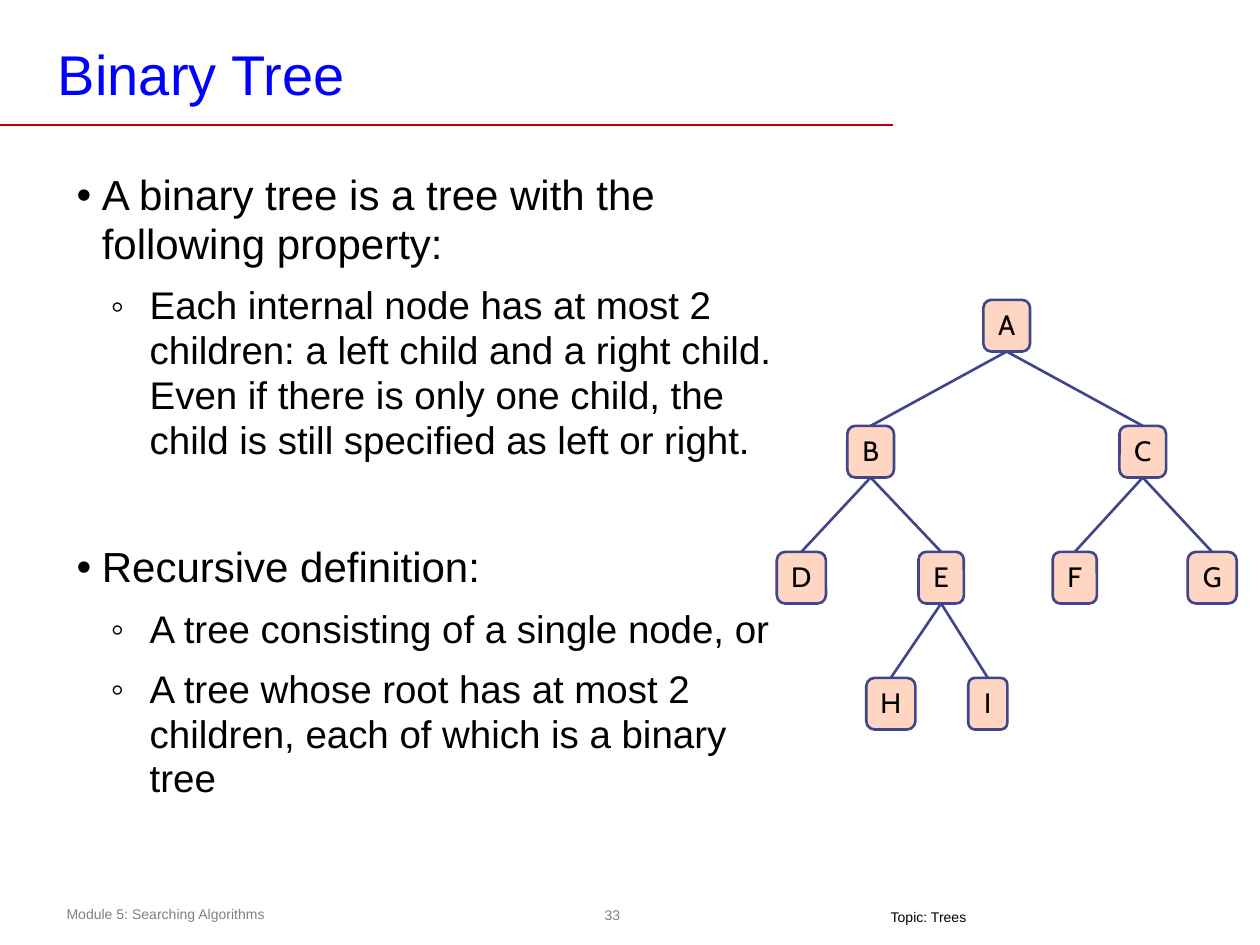
from lxml import etree
from pptx import Presentation
from pptx.dml.color import RGBColor
from pptx.enum.shapes import MSO_CONNECTOR, MSO_SHAPE
from pptx.enum.text import MSO_ANCHOR, MSO_AUTO_SIZE, PP_ALIGN
from pptx.oxml.ns import qn
from pptx.util import Inches, Pt

ROUNDED, ELLIPSE = MSO_SHAPE.ROUNDED_RECTANGLE, MSO_SHAPE.OVAL
STRAIGHT = MSO_CONNECTOR.STRAIGHT
MIDDLE, TOP = MSO_ANCHOR.MIDDLE, MSO_ANCHOR.TOP
CENTER, LEFT = PP_ALIGN.CENTER, PP_ALIGN.LEFT
BOTTOM_SIDE, TOP_SIDE = 2, 0
TITLE_ONLY = 5
BLACK, GRAY, BLUE, RED = "000000", "808080", "0000FF", "C00000"
NODE_FILL, NODE_LINE = "FFD6C2", "40458C"

BULLETS = [
    (0, "A binary tree is a tree with the following property:", 0),
    (1, "Each internal node has at most 2 children: a left child and a right child. "
        "Even if there is only one child, the child is still specified as left or right.", 8.6),
    (0, "Recursive definition:", 46),
    (1, "A tree consisting of a single node, or", 8.6),
    (1, "A tree whose root has at most 2 children, each of which is a binary tree", 8.6),
]
LEVELS = [("•", 0.2, 0.2, 24), ("◦", 0.58, 0.31, 22)]

NODES = {
    "A": (0, 1.82, 0.37),
    "B": (1, 0.74, 0.37), "C": (1, 2.9, 0.37),
    "D": (2, 0.19, 0.39), "E": (2, 1.3, 0.36), "F": (2, 2.36, 0.35), "G": (2, 3.45, 0.39),
    "H": (3, 0.9, 0.39), "I": (3, 1.67, 0.31),
}
EDGES = ["AB", "AC", "BD", "BE", "CF", "CG", "EH", "EI"]
ROW_STEP, NODE_HEIGHT = 1, 0.41


def color(value):
    """Return the colour for a hex string."""
    return RGBColor.from_string(value)


def format_paragraph(paragraph, size, value, font="Arial", align=LEFT):
    """Format a paragraph and its runs."""
    paragraph.alignment = align
    for run in paragraph.runs:
        run.font.size = Pt(size)
        run.font.name = font
        run.font.color.rgb = color(value)


def set_frame(frame, margins, anchor=TOP, wrap=True):
    """Set the left/right and top/bottom margins, anchor and wrapping of a frame."""
    side, end = margins
    frame.margin_left = frame.margin_right = Inches(side)
    frame.margin_top = frame.margin_bottom = Inches(end)
    frame.vertical_anchor = anchor
    frame.word_wrap = wrap
    frame.auto_size = MSO_AUTO_SIZE.NONE


def add_line(shapes, start, end, value, width):
    """Add a straight line without a shadow."""
    line = shapes.add_connector(STRAIGHT, *(Inches(length) for length in start + end))
    line.line.color.rgb = color(value)
    line.line.width = Pt(width)
    etree.SubElement(line._element.spPr, qn("a:effectLst"))
    return line


def add_header(slide, box, text):
    """Place the title and the rule below it."""
    title = slide.shapes.title
    title.left, title.top, title.width, title.height = (Inches(length) for length in box)
    set_frame(title.text_frame, (0.07, 0.03), MIDDLE)
    title.text_frame.text = text
    format_paragraph(title.text_frame.paragraphs[0], 32, BLUE)
    add_line(slide.shapes, (0, 0.99), (7.09, 0.99), RED, 1)


def set_bullet(paragraph, character, indent, hanging):
    """Give a paragraph a hanging bullet."""
    properties = paragraph._p.get_or_add_pPr()
    properties.set("marL", str(Inches(indent)))
    properties.set("indent", str(-Inches(hanging)))
    font = etree.SubElement(properties, qn("a:buFont"))
    font.set("typeface", "Arial")
    bullet = etree.SubElement(properties, qn("a:buChar"))
    bullet.set("char", character)


def add_bullets(slide, box):
    """Write the two-level bullet list."""
    frame = slide.shapes.add_textbox(*(Inches(length) for length in box)).text_frame
    set_frame(frame, (0.1, 0.05))
    for index, (level, text, space) in enumerate(BULLETS):
        paragraph = frame.add_paragraph() if index else frame.paragraphs[0]
        character, indent, hanging, size = LEVELS[level]
        paragraph.text = text
        paragraph.level = level
        paragraph.line_spacing = 0.97
        paragraph.space_before = Pt(space)
        format_paragraph(paragraph, size, BLACK)
        set_bullet(paragraph, character, indent, hanging)


def add_node(shapes, box, text):
    """Add one lettered tree node."""
    node = shapes.add_shape(ROUNDED, *(Inches(length) for length in box))
    node.shadow.inherit = False
    node.adjustments[0] = 0.17
    node.fill.solid()
    node.fill.fore_color.rgb = color(NODE_FILL)
    node.line.color.rgb = color(NODE_LINE)
    node.line.width = Pt(1.5)
    set_frame(node.text_frame, (0, 0), MIDDLE, wrap=False)
    node.text_frame.text = text
    paragraph = node.text_frame.paragraphs[0]
    paragraph.line_spacing = 0.93
    format_paragraph(paragraph, 16, BLACK, "Cabin", CENTER)
    return node


def add_tree(slide, left, top):
    """Draw the tree as a group of nodes joined by edges."""
    shapes = slide.shapes.add_group_shape().shapes
    nodes = {}
    for letter, (row, center, width) in NODES.items():
        box = (left + center - width / 2, top + row * ROW_STEP, width, NODE_HEIGHT)
        nodes[letter] = add_node(shapes, box, letter)
    for parent, child in EDGES:
        edge = add_line(shapes, (left, top), (left, top), NODE_LINE, 1.5)
        edge.begin_connect(nodes[parent], BOTTOM_SIDE)
        edge.end_connect(nodes[child], TOP_SIDE)


def add_label(slide, box, text, value, margins):
    """Add a small one-line label."""
    shape = slide.shapes.add_textbox(*(Inches(length) for length in box))
    set_frame(shape.text_frame, margins, wrap=False)
    shape.text_frame.text = text
    format_paragraph(shape.text_frame.paragraphs[0], 8, value)


def add_page_number(slide, box, text):
    """Add the slide number in a clear ellipse."""
    shape = slide.shapes.add_shape(ELLIPSE, *(Inches(length) for length in box))
    shape.shadow.inherit = False
    shape.fill.background()
    shape.line.fill.background()
    set_frame(shape.text_frame, (0.04, 0.04), MIDDLE, wrap=False)
    shape.text_frame.text = text
    format_paragraph(shape.text_frame.paragraphs[0], 8, GRAY, align=CENTER)


def add_footer(slide):
    """Place the module name, slide number and topic."""
    add_page_number(slide, (4.74, 7.13, 0.24, 0.26), "33")
    add_label(slide, (0.43, 7.14, 3.64, 0.24), "Module 5: Searching Algorithms", GRAY, (0.1, 0.05))
    add_label(slide, (6.97, 7.21, 0.81, 0.17), "Topic: Trees", BLACK, (0.1, 0))


def main():
    """Build and save the presentation."""
    presentation = Presentation()
    presentation.slide_width = Inches(10)
    presentation.slide_height = Inches(7.5)
    slide = presentation.slides.add_slide(presentation.slide_layouts[TITLE_ONLY])
    add_header(slide, (0.39, 0.28, 7.42, 0.6), "Binary Tree")
    add_bullets(slide, (0.51, 1.31, 5.75, 5.33))
    add_tree(slide, 6.17, 2.38)
    add_footer(slide)
    presentation.save("out.pptx")


if __name__ == "__main__":
    main()
